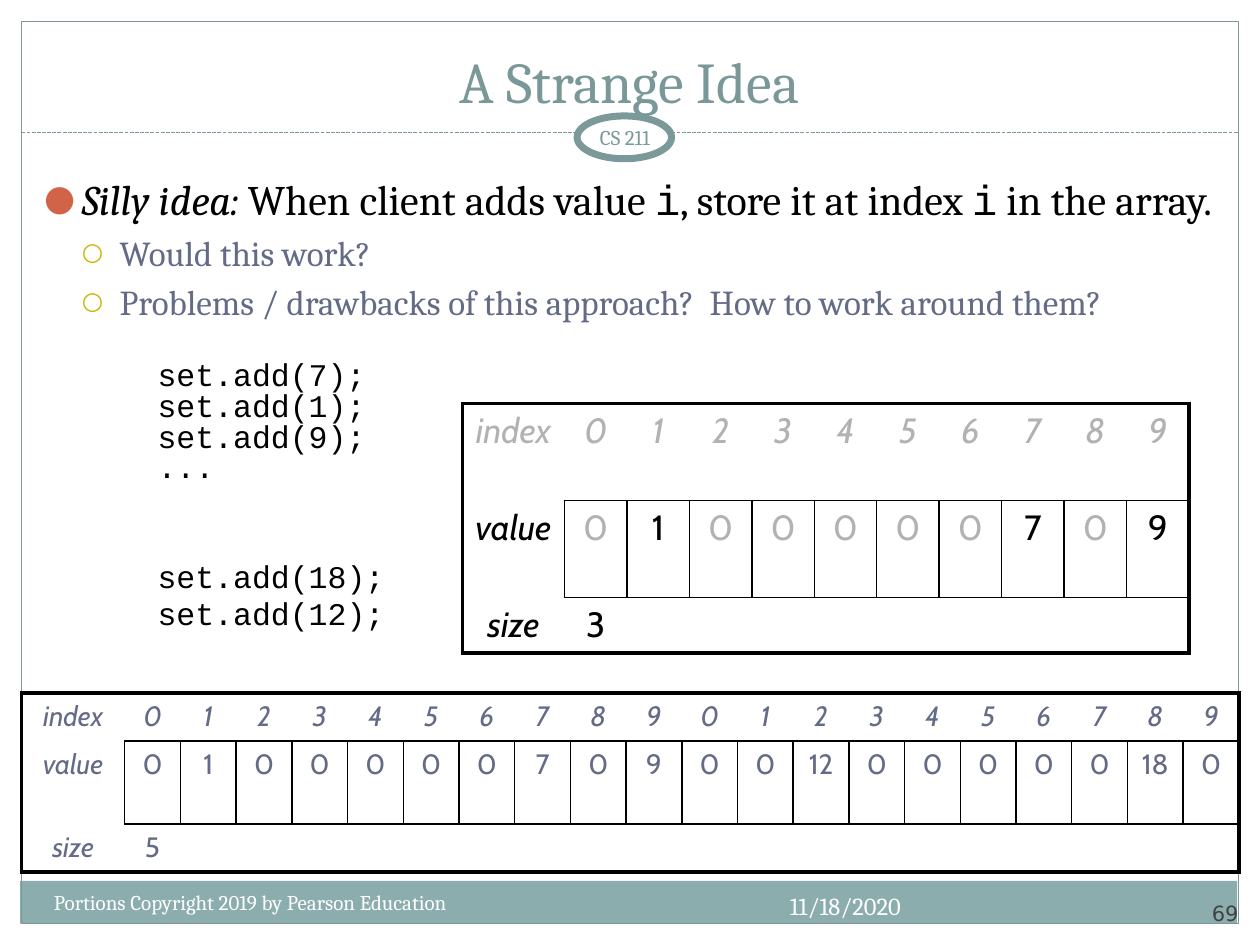
"""Build a slide on storing each set value at its own array index."""
from lxml import etree
from pptx import Presentation
from pptx import util as u
from pptx.dml.color import RGBColor
from pptx.enum import dml, shapes, text
from pptx.oxml import ns

W, H = u.Inches(10), u.Inches(7.5)
BLACK = RGBColor(0x00, 0x00, 0x00)
WHITE = RGBColor(0xFF, 0xFF, 0xFF)
TEAL = RGBColor(0x7C, 0x99, 0x9A)
TITLE_TEAL = RGBColor(0x7B, 0x98, 0x99)
BAND = RGBColor(0x8C, 0xAD, 0xAE)
SLATE = RGBColor(0x64, 0x6B, 0x86)
MUTED = RGBColor(0xB2, 0xB2, 0xB2)
DARK = RGBColor(0x42, 0x42, 0x42)
SERIF, MONO, SANS = "Cambria", "Courier New", "Cabin"
NO_STYLE = "{2D5ABB26-0587-4C30-8999-92F81FD0307C}"
LEFT, CENTER, RIGHT = text.PP_ALIGN.LEFT, text.PP_ALIGN.CENTER, text.PP_ALIGN.RIGHT
TOP, MIDDLE, BOTTOM = text.MSO_ANCHOR.TOP, text.MSO_ANCHOR.MIDDLE, text.MSO_ANCHOR.BOTTOM


def across(share):
    """Turn a percentage of the slide width into a length."""
    return u.Emu(round(W * share / 100))


def down(share):
    """Turn a percentage of the slide height into a length."""
    return u.Emu(round(H * share / 100))


def box(x, y, w, h):
    """Turn percentages of the slide into left, top, width and height."""
    return across(x), down(y), across(w), down(h)


def sub(parent, tag, **attrs):
    """Append a DrawingML element and return it."""
    return etree.SubElement(parent, ns.qn(tag), attrs)


def add_run(p, words, size, font, color, italic=False):
    """Add one formatted run to a paragraph."""
    r = p.add_run()
    r.text = words
    r.font.size, r.font.name, r.font.italic = u.Pt(size), font, italic
    r.font.color.rgb = color


def add_panel(s, kind, place, fill=None, line=None, width=0.75):
    """Add a preset shape with an optional fill and outline."""
    sp = s.shapes.add_shape(kind, *place)
    sp.shadow.inherit = False
    if fill is None:
        sp.fill.background()
    else:
        sp.fill.solid()
        sp.fill.fore_color.rgb = fill
    if line is None:
        sp.line.fill.background()
    else:
        sp.line.color.rgb, sp.line.width = line, u.Pt(width)


def add_rule(s, x1, x2, y):
    """Add the dashed rule under the title."""
    rule = s.shapes.add_connector(shapes.MSO_CONNECTOR.STRAIGHT,
                                  across(x1), down(y), across(x2), down(y))
    rule.line.color.rgb, rule.line.width = TEAL, u.Pt(0.75)
    rule.line.dash_style = dml.MSO_LINE.SQUARE_DOT
    sub(rule._element.spPr, "a:effectLst")


def add_label(s, place, words, size, color, font=SERIF, align=LEFT, anchor=TOP, inset=None):
    """Add a one-line text box."""
    tf = s.shapes.add_textbox(*place).text_frame
    tf.word_wrap, tf.vertical_anchor = True, anchor
    if inset is not None:
        tf.margin_left = tf.margin_right = tf.margin_top = tf.margin_bottom = u.Inches(inset)
    p = tf.paragraphs[0]
    p.alignment = align
    add_run(p, words, size, font, color)


def place_placeholder(sp, place, anchor):
    """Move a placeholder in front of the frame and return its text frame."""
    sp.left, sp.top, sp.width, sp.height = place
    sp.element.getparent().append(sp.element)
    tf = sp.text_frame
    tf.word_wrap, tf.vertical_anchor = True, anchor
    tf.auto_size = text.MSO_AUTO_SIZE.NONE
    return tf


def set_indent(p, level, margin, hang=0.0):
    """Set list level, left margin and hanging indent in inches."""
    p.level = level
    pPr = p._p.get_or_add_pPr()
    pPr.set("marL", str(u.Inches(margin)))
    pPr.set("indent", str(-u.Inches(hang)))
    return pPr


def set_bullet(pPr, char, color, percent):
    """Give a paragraph a coloured bullet character."""
    sub(sub(pPr, "a:buClr"), "a:srgbClr", val=str(color))
    sub(pPr, "a:buSzPct", val=str(percent * 1000))
    sub(pPr, "a:buFont", typeface=SERIF)
    sub(pPr, "a:buChar", char=char)


def fill_body(tf):
    """Write the idea, its questions and the code lines."""
    p = tf.paragraphs[0]
    set_bullet(set_indent(p, 0, 0.3, 0.3), "●", RGBColor(0xD1, 0x63, 0x49), 85)
    p.space_before = u.Pt(0)
    for words, font, italic in (("Silly idea:", SERIF, True),
                                (" When client adds value ", SERIF, False),
                                ("i", MONO, False),
                                (", store it at index ", SERIF, False),
                                ("i", MONO, False),
                                (" in the array.", SERIF, False)):
        add_run(p, words, 24, font, BLACK, italic)
    for words in ("Would this work?",
                  "Problems / drawbacks of this approach?  How to work around them?"):
        p = tf.add_paragraph()
        set_bullet(set_indent(p, 1, 0.6, 0.3), "○", RGBColor(0xCC, 0xB4, 0x00), 70)
        p.space_before = u.Pt(4)
        add_run(p, words, 20, SERIF, SLATE)
    for words, gap in (("set.add(7);", 23), ("set.add(1);", 0), ("set.add(9);", 0),
                       ("...", 0), ("set.add(18);", 45.5), ("set.add(12);", 3.6)):
        p = tf.add_paragraph()
        sub(set_indent(p, 2, 0.9), "a:buNone")
        p.space_before, p.line_spacing = u.Pt(gap), u.Pt(17.5)
        add_run(p, words, 18, MONO, BLACK)


def set_borders(cell, row, col, last):
    """Draw a thick outer edge and thin edges round the value cells."""
    thin = col > 0
    widths = {"a:lnL": 2.25 if col == 0 else row == 1,
              "a:lnR": 2.25 if col == last else row == 1,
              "a:lnT": 2.25 if row == 0 else thin,
              "a:lnB": 2.25 if row == 2 else thin and row < 2}
    tcPr = cell._tc.get_or_add_tcPr()
    for tag, width in widths.items():
        if width:
            ln = sub(tcPr, tag, w=str(u.Pt(width)))
            sub(sub(ln, "a:solidFill"), "a:srgbClr", val=str(BLACK))
    cell.fill.background()


def add_array(s, place, label_share, row_shares, values, size, color, muted):
    """Add a table of index, value and size for an array."""
    count = len(values)
    rows = (["index"] + [str(i % 10) for i in range(count)],
            ["value"] + [str(v) for v in values],
            ["size", str(sum(v > 0 for v in values))] + [""] * (count - 1))
    table = s.shapes.add_table(3, count + 1, *place).table
    table.first_row = table.horz_banding = False
    table._tbl.tblPr.find(ns.qn("a:tableStyleId")).text = NO_STYLE
    label_width = across(label_share)
    for i, column in enumerate(table.columns):
        column.width = u.Emu((place[2] - label_width) // count) if i else label_width
    for i, words in enumerate(rows):
        table.rows[i].height = down(row_shares[i])
        for j, word in enumerate(words):
            cell = table.cell(i, j)
            p = cell.text_frame.paragraphs[0]
            p.alignment = CENTER
            if word:
                add_run(p, word, size, SANS, muted if i == 0 or word == "0" else color,
                        i == 0 or j == 0)
            else:
                p._p.get_or_add_endParaRPr().set("sz", str(size * 100))
            set_borders(cell, i, j, count)


def main():
    """Assemble and save the slide."""
    prs = Presentation()
    prs.slide_width, prs.slide_height = W, H
    s = prs.slides.add_slide(prs.slide_layouts[1])
    kinds = shapes.MSO_SHAPE
    add_panel(s, kinds.RECTANGLE, box(1.6, 93.2, 96.6, 4.53), fill=BAND)
    add_panel(s, kinds.RECTANGLE, box(1.7, 2.27, 96.6, 95.47), line=TEAL)
    add_rule(s, 1.7, 98.3, 14)
    add_panel(s, kinds.OVAL, box(45.8, 12.27, 7.5, 4.53), WHITE, TEAL, 4)
    add_label(s, box(90, 92.67, 8.3, 5.33), "69", 12, DARK, "DejaVu Sans", RIGHT, BOTTOM, 0)

    tf = place_placeholder(s.shapes.title, box(3.3, 3.33, 93.3, 9.47), BOTTOM)
    tf.paragraphs[0].alignment = CENTER
    add_run(tf.paragraphs[0], "A Strange Idea", 33, SERIF, TITLE_TEAL)
    fill_body(place_placeholder(s.placeholders[1], box(2.5, 17.73, 95, 74.4), TOP))

    values = [0, 1, 0, 0, 0, 0, 0, 7, 0, 9]
    add_array(s, box(36.7, 42.67, 57.7, 26.27), 8.1, (10.27, 10.27, 5.73),
              values, 20, BLACK, MUTED)
    more = [0, 0, 12, 0, 0, 0, 0, 0, 18, 0]
    add_array(s, box(1.7, 73.33, 96.7, 18.94), 8.2, (5.07, 8.8, 5.07),
              values + more, 16, SLATE, SLATE)

    add_label(s, box(55.9, 93.6, 16.6, 5.33), "11/18/2020", 14, WHITE, align=RIGHT)
    add_label(s, box(3.3, 93.47, 40.8, 5.33), "Portions Copyright 2019 by Pearson Education",
              12, WHITE)
    add_label(s, box(45, 12.27, 9.2, 4.4), "CS 211", 12, TEAL,
              align=CENTER, anchor=MIDDLE, inset=0.05)
    prs.save("out.pptx")


if __name__ == "__main__":
    main()
